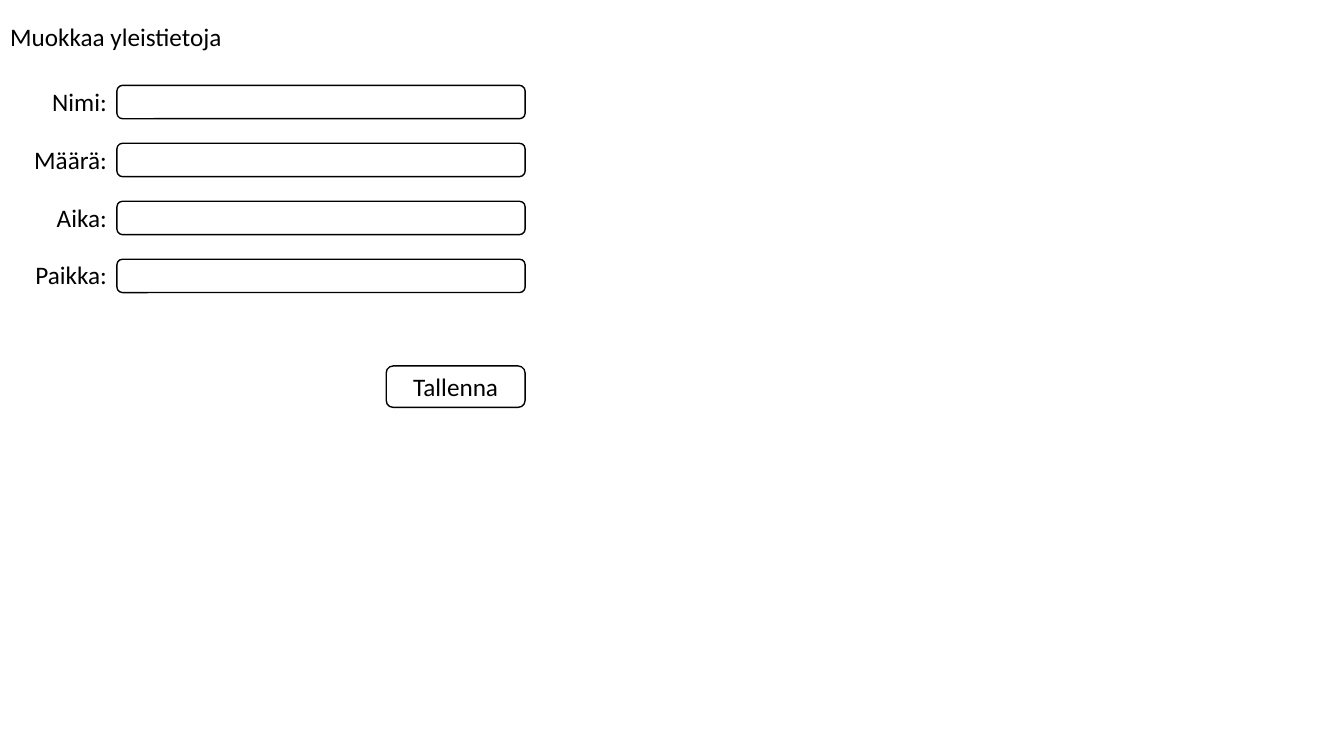
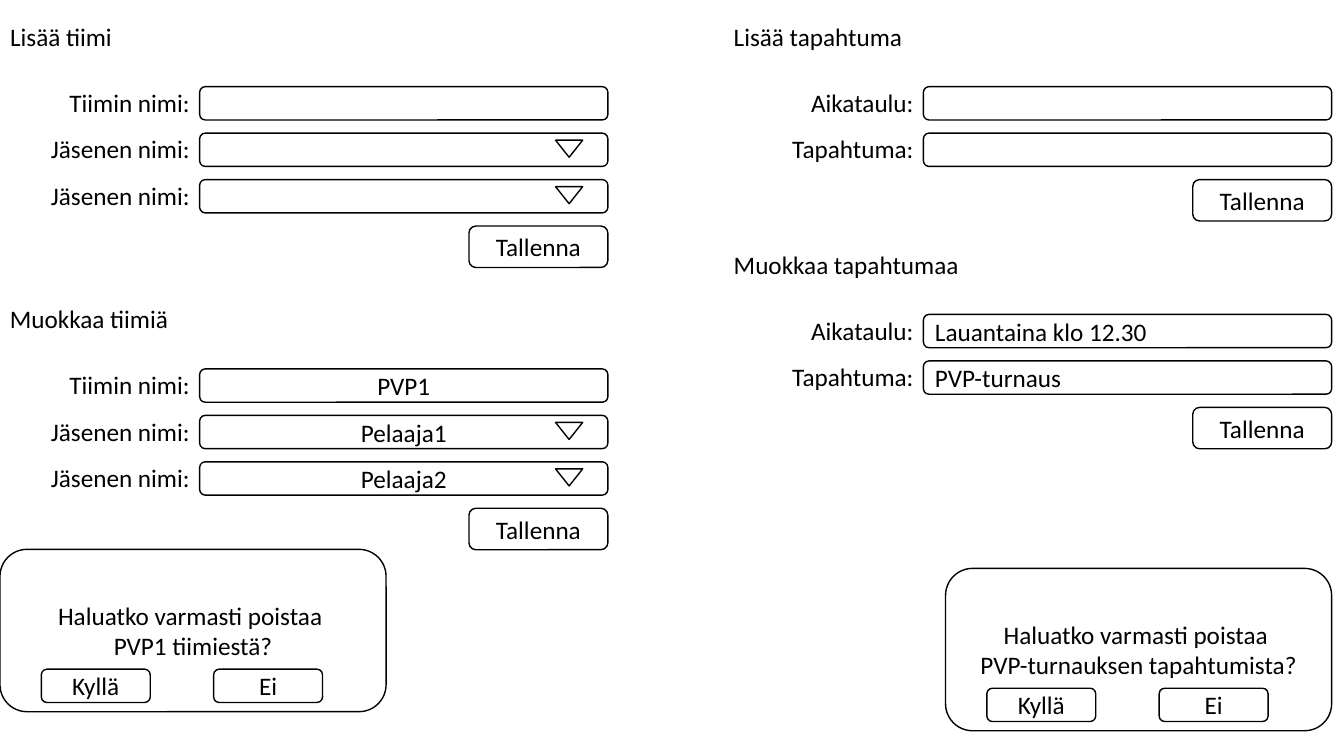
"""Builds two slides of form sketches for editing events and teams."""
from dataclasses import dataclass

from pptx import Presentation
from pptx.dml.color import RGBColor
from pptx.enum import shapes, text
from pptx.util import Pt

BLACK = RGBColor(0, 0, 0)
WHITE = RGBColor(255, 255, 255)
FONT = "Calibri"
LEFT, MID, RIGHT = text.PP_ALIGN.LEFT, text.PP_ALIGN.CENTER, text.PP_ALIGN.RIGHT
ROUND = shapes.MSO_SHAPE.ROUNDED_RECTANGLE
HEAD_W, HEAD_H = 375, 52
LABEL_H = 41
FIELD_W, FIELD_H = 291.6, 23.8
SAVE_W, SAVE_H = 99.2, 29.6
ARROW_X, ARROW_Y, ARROW_W, ARROW_H = 254.2, 5, 19.4, 12.2
ASK_W, ASK_H = 275.8, 116
REPLY_X, REPLY_Y, REPLY_GAP, REPLY_W = 29.5, 85.6, 123.1, 77.8


@dataclass(frozen=True)
class Box:
    """Position and size in points."""
    left: float
    top: float
    width: float
    height: float


@dataclass(frozen=True)
class Row:
    """One labelled field of a form."""
    label: str
    value: str = ""
    arrow: bool = False
    align: text.PP_ALIGN = MID


@dataclass(frozen=True)
class Form:
    """A heading, labelled fields and a save button."""
    title: str
    rows: tuple[Row, ...]
    left: float = 0
    top: float = 0
    label_w: float = 142.6
    first: float = 61.9
    pitch: float = 33.2
    gap: float = 0


@dataclass(frozen=True)
class Ask:
    """A question with two replies."""
    left: float
    top: float
    lines: tuple[str, ...]


@dataclass(frozen=True)
class Page:
    """The forms and questions of one slide."""
    forms: tuple[Form, ...]
    asks: tuple[Ask, ...] = ()


def write(shape, lines: tuple[str, ...], align: text.PP_ALIGN) -> None:
    """Fill a shape with text in the shared style."""
    frame = shape.text_frame
    frame.word_wrap = True
    frame.auto_size = text.MSO_AUTO_SIZE.NONE
    frame.vertical_anchor = text.MSO_ANCHOR.MIDDLE
    frame.text = "\n".join(lines)
    for para in frame.paragraphs:
        para.alignment = align
        para.font.name = FONT
        para.font.size = Pt(18)
        para.font.color.rgb = BLACK


def place(shape, box: Box) -> None:
    """Move and size a shape."""
    shape.left, shape.top = Pt(box.left), Pt(box.top)
    shape.width, shape.height = Pt(box.width), Pt(box.height)


def note(slide, box: Box, words: str, align: text.PP_ALIGN) -> None:
    """Add a plain line of text."""
    shape = slide.shapes.add_textbox(0, 0, 0, 0)
    place(shape, box)
    write(shape, (words,), align)


def outline(slide, kind: shapes.MSO_SHAPE, box: Box, lines: tuple[str, ...] = (),
            align: text.PP_ALIGN = MID):
    """Add a white shape with a black edge."""
    shape = slide.shapes.add_shape(kind, 0, 0, 0, 0)
    place(shape, box)
    shape.shadow.inherit = False
    shape.fill.solid()
    shape.fill.fore_color.rgb = WHITE
    shape.line.color.rgb = BLACK
    shape.line.width = Pt(1)
    if lines:
        write(shape, lines, align)
    return shape


def draw_form(slide, form: Form, main: bool) -> None:
    """Draw a form, its heading being the slide title if main."""
    head = Box(form.left, form.top, HEAD_W, HEAD_H)
    if main:
        place(slide.shapes.title, head)
        write(slide.shapes.title, (form.title,), LEFT)
    else:
        note(slide, head, form.title, LEFT)
    left = form.left + form.label_w
    top = form.top + form.first
    for row in form.rows:
        label = Box(form.left, top - 9.3, form.label_w, LABEL_H)
        note(slide, label, row.label, RIGHT)
        lines = (row.value,) if row.value else ()
        outline(slide, ROUND, Box(left, top, FIELD_W, FIELD_H), lines, row.align)
        if row.arrow:
            box = Box(left + ARROW_X, top + ARROW_Y, ARROW_W, ARROW_H)
            arrow = outline(slide, shapes.MSO_SHAPE.ISOSCELES_TRIANGLE, box)
            arrow.rotation = 180
        top += form.pitch
    save = Box(left + FIELD_W - SAVE_W, top + form.gap, SAVE_W, SAVE_H)
    outline(slide, ROUND, save, ("Tallenna",))


def draw_ask(slide, ask: Ask) -> None:
    """Draw a question and its reply buttons."""
    outline(slide, ROUND, Box(ask.left, ask.top, ASK_W, ASK_H), ask.lines)
    for col, reply in enumerate(("Kyllä", "Ei")):
        left = ask.left + REPLY_X + col * REPLY_GAP
        outline(slide, ROUND, Box(left, ask.top + REPLY_Y, REPLY_W, FIELD_H), (reply,))


def team(title: str, top: float, values: tuple[str, str, str]) -> Form:
    """Describe a form for a team."""
    name, *players = values
    rows = (Row("Tiimin nimi:", name),
            *(Row("Jäsenen nimi:", player, True) for player in players))
    return Form(title, rows, top=top)


def event(title: str, top: float, time: str, name: str) -> Form:
    """Describe a form for an event."""
    rows = (Row("Aikataulu:", time, align=LEFT), Row("Tapahtuma:", name, align=LEFT))
    return Form(title, rows, 517, top)


PAGES = (
    Page((Form("Muokkaa yleistietoja",
               tuple(map(Row, ("Nimi:", "Määrä:", "Aika:", "Paikka:"))),
               label_w=83.5, first=61, pitch=41.4, gap=34.8),)),
    Page((team("Lisää tiimi", 0, ("", "", "")),
          team("Muokkaa tiimiä", 201.6, ("PVP1", "Pelaaja1", "Pelaaja2")),
          event("Lisää tapahtuma", 0, "", ""),
          event("Muokkaa tapahtumaa", 162.7, "Lauantaina klo 12.30", "PVP-turnaus")),
         (Ask(0, 392.4, ("Haluatko varmasti poistaa ", "PVP1 tiimiestä?")),
          Ask(675.4, 406, ("Haluatko varmasti poistaa ",
                           "PVP-turnauksen tapahtumista?")))),
)


def main() -> None:
    """Build and save the slides."""
    deck = Presentation()
    deck.slide_width, deck.slide_height = Pt(960), Pt(540)
    for page in PAGES:
        slide = deck.slides.add_slide(deck.slide_layouts.get_by_name("Title Only"))
        for index, form in enumerate(page.forms):
            draw_form(slide, form, index == 0)
        for ask in page.asks:
            draw_ask(slide, ask)
    deck.save("out.pptx")


main()
